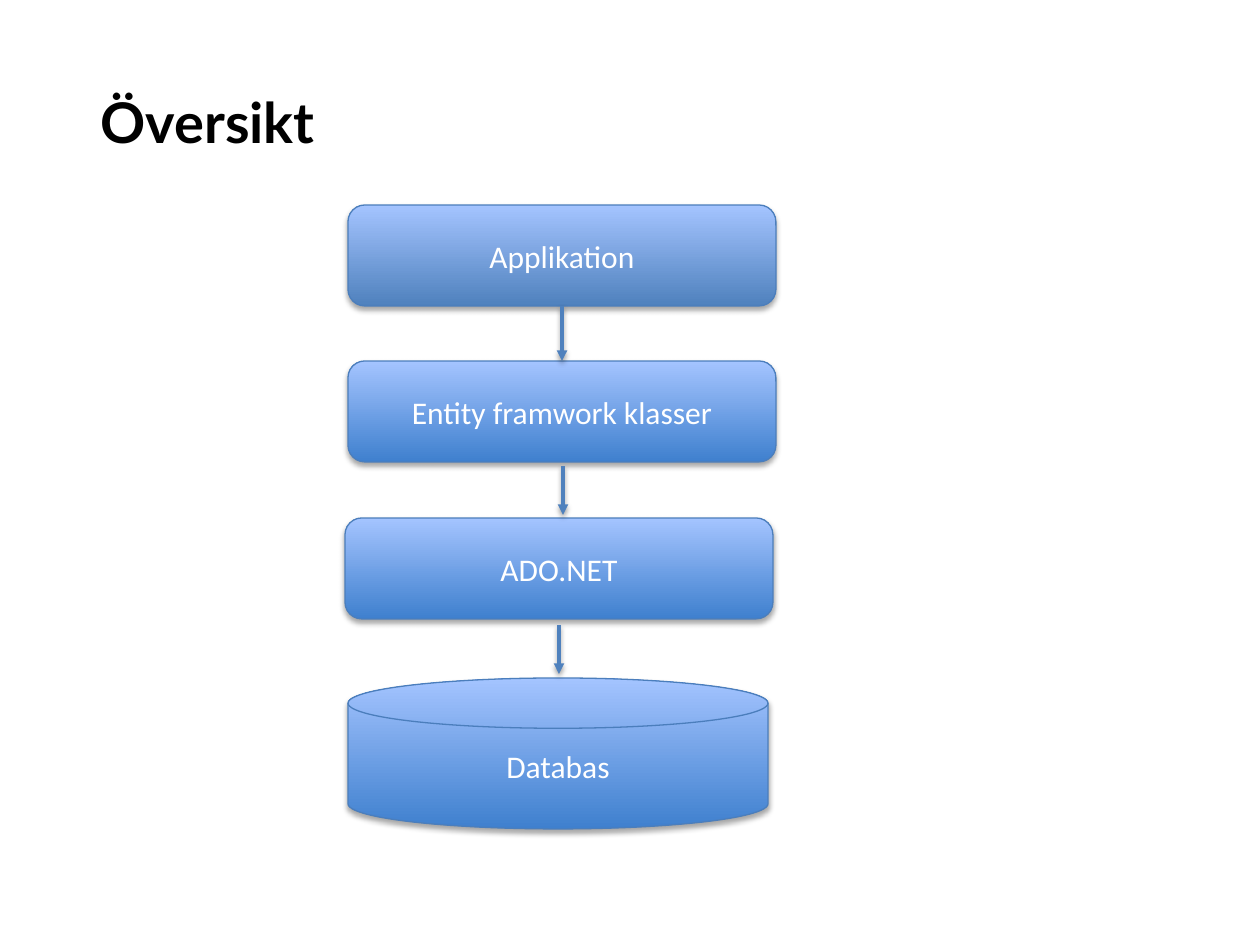
from dataclasses import dataclass

from lxml import etree
from pptx import Presentation
from pptx.dml.color import RGBColor
from pptx.enum.shapes import MSO_CONNECTOR, MSO_SHAPE
from pptx.enum.text import MSO_ANCHOR, PP_ALIGN
from pptx.oxml.ns import qn
from pptx.util import Emu, Pt

ROUNDED = MSO_SHAPE.ROUNDED_RECTANGLE
DISK = MSO_SHAPE.FLOWCHART_MAGNETIC_DISK
STRAIGHT = MSO_CONNECTOR.STRAIGHT
MIDDLE = MSO_ANCHOR.MIDDLE
CENTER = PP_ALIGN.CENTER

BLACK = RGBColor(0x00, 0x00, 0x00)
WHITE = RGBColor(0xFF, 0xFF, 0xFF)
LIGHT_BLUE = RGBColor(0xA4, 0xC4, 0xFF)
BRIGHT_BLUE = RGBColor(0x3F, 0x80, 0xCE)
MUTED_BLUE = RGBColor(0x4F, 0x81, 0xBD)
OUTLINE_BLUE = RGBColor(0x4B, 0x7E, 0xBC)

EMU_PER_PIXEL = 914400 / 126
TITLE_FONT = {"name": "Lato", "size": Pt(32), "bold": True}
LAYER_FONT = {"name": "Calibri", "size": Pt(18)}


@dataclass(frozen=True)
class Layer:
    """One box of the stack, in pixels."""

    text: str
    left: int
    top: int
    width: int = 428
    height: int = 101
    kind: int = ROUNDED
    base: RGBColor = BRIGHT_BLUE


@dataclass(frozen=True)
class Arrow:
    """One downward arrow, in pixels."""

    x: int
    top: int
    bottom: int


LAYERS = (
    Layer("Applikation", 348, 205, base=MUTED_BLUE),
    Layer("Entity framwork klasser", 348, 361),
    Layer("ADO.NET", 345, 518),
    Layer("Databas", 348, 678, width=420, height=151, kind=DISK),
)
ARROWS = (Arrow(562, 306, 361), Arrow(563, 466, 515), Arrow(559, 625, 674))


def pixels(*values: int) -> list[Emu]:
    """Turn picture pixels into EMU."""
    return [Emu(round(value * EMU_PER_PIXEL)) for value in values]


def write_text(frame, text: str, font_values: dict, color: RGBColor) -> None:
    """Put one formatted run into a text frame."""
    frame.word_wrap = True
    run = frame.paragraphs[0].add_run()
    run.text = text
    for name, value in font_values.items():
        setattr(run.font, name, value)
    run.font.color.rgb = color


def add_shadow(properties, opacity: int, distance: float) -> None:
    """Give shape properties a soft shadow that falls downward."""
    effects = properties.find(qn("a:effectLst"))
    if effects is None:
        effects = etree.SubElement(properties, qn("a:effectLst"))
    shadow = etree.SubElement(
        effects, qn("a:outerShdw"), blurRad=str(Pt(3.1)),
        dist=str(Pt(distance)), dir="5400000", rotWithShape="0",
    )
    color = etree.SubElement(shadow, qn("a:srgbClr"), val=str(BLACK))
    etree.SubElement(color, qn("a:alpha"), val=str(opacity * 1000))


def add_title(slide, text: str) -> None:
    """Draw the slide heading."""
    box = slide.shapes.add_textbox(*pixels(88, 81, 948, 81))
    write_text(box.text_frame, text, TITLE_FONT, BLACK)


def add_layer(slide, layer: Layer) -> None:
    """Draw one shaded box with its label."""
    shape = slide.shapes.add_shape(
        layer.kind, *pixels(layer.left, layer.top, layer.width, layer.height)
    )
    shape.fill.gradient()
    shape.fill.gradient_angle = 90
    for stop, color, position in zip(
        shape.fill.gradient_stops, (layer.base, LIGHT_BLUE), (0, 1)
    ):
        stop.color.rgb = color
        stop.position = position
    shape.line.color.rgb = OUTLINE_BLUE
    shape.line.width = Pt(0.75)
    shape.shadow.inherit = False
    add_shadow(shape.element.spPr, 35, 1.8)
    frame = shape.text_frame
    frame.vertical_anchor = MIDDLE
    frame.paragraphs[0].alignment = CENTER
    write_text(frame, layer.text, LAYER_FONT, WHITE)


def add_arrow(slide, arrow: Arrow) -> None:
    """Draw one arrow between two layers."""
    connector = slide.shapes.add_connector(
        STRAIGHT, *pixels(arrow.x, arrow.top, arrow.x, arrow.bottom)
    )
    connector.line.color.rgb = MUTED_BLUE
    connector.line.width = Pt(2)
    properties = connector.element.spPr
    etree.SubElement(properties.find(qn("a:ln")), qn("a:tailEnd"), type="triangle")
    add_shadow(properties, 38, 1.6)


def main() -> None:
    """Build and save the overview slide."""
    presentation = Presentation()
    presentation.slide_width, presentation.slide_height = pixels(1260, 945)
    slide = presentation.slides.add_slide(presentation.slide_layouts[6])
    add_title(slide, "Översikt")
    for layer in LAYERS:
        add_layer(slide, layer)
    for arrow in ARROWS:
        add_arrow(slide, arrow)
    presentation.save("out.pptx")


main()
